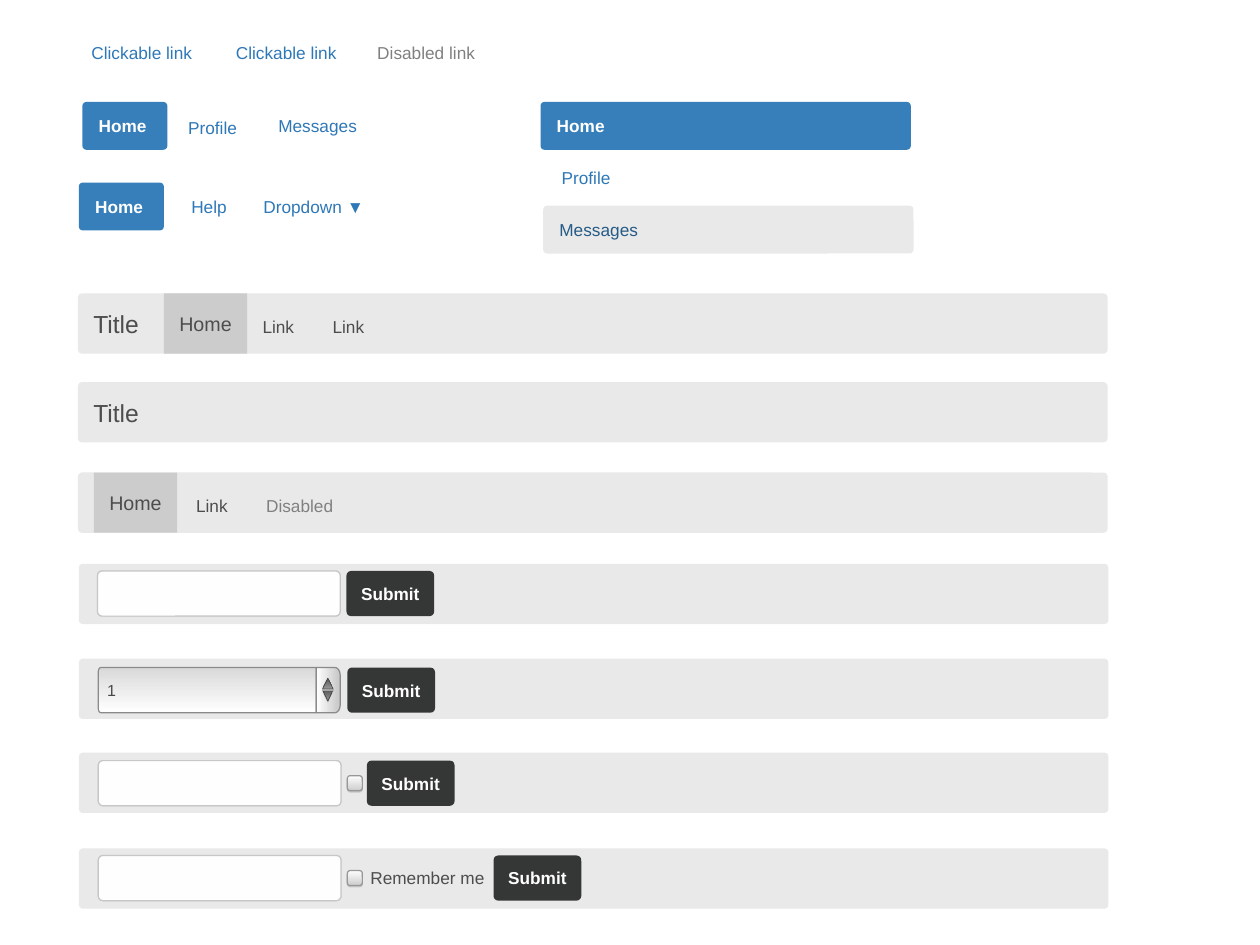
from math import cos, pi, sin

from lxml.etree import SubElement
from pptx import Presentation
from pptx.dml.color import RGBColor
from pptx.enum.shapes import MSO_SHAPE
from pptx.enum.text import MSO_ANCHOR, PP_ALIGN
from pptx.oxml.ns import qn
from pptx.util import Inches, Pt

ROUND, RECT = MSO_SHAPE.ROUNDED_RECTANGLE, MSO_SHAPE.RECTANGLE
PEAK = MSO_SHAPE.ISOSCELES_TRIANGLE
MID, LEFT, CENTER = MSO_ANCHOR.MIDDLE, PP_ALIGN.LEFT, PP_ALIGN.CENTER

WIDE, HIGH = 14.22, 10.66
FONT, BLUE, GREY, INK = "Arial", "2E78B8", "808080", "4D4D4D"
LINE_H, BAR_W, BAR_H, FIELD_W, FIELD_H = 0.39, 11.62, 0.68, 2.74, 0.51
PILL_H, PILL_W, LIST_W, TAB_W, SEND_W, BOX = 0.54, 0.96, 4.18, 0.94, 0.99, 0.17

STYLES = {
    "bar": {"form": ROUND, "adj": 0.067, "fill": "E9E9E9", "inset": 0.16},
    "pill": {"form": ROUND, "adj": 0.084, "fill": "367FBA", "inset": 0.17},
    "hover": {"form": ROUND, "adj": 0.084, "fill": "E9E9E9", "inset": 0.17},
    "tab": {"form": RECT, "fill": "CCCCCC", "align": CENTER},
    "send": {"form": ROUND, "adj": 0.103, "fill": "353636", "align": CENTER},
    "field": {"form": ROUND, "adj": 0.103, "fill": "FFFEFE",
              "line": ("C7C7C7", 1), "shadow": ("000000", 10, 0)},
    "check": {"form": ROUND, "adj": 0.2, "fill": ("FFFEFE", "CECDCD", 270),
              "line": ("979797", 1), "shadow": ("000000", 15, 1)},
    "up": {"form": PEAK, "fill": ("545554", "979797", 270),
           "line": ("444444", 0.5), "shadow": ("C8C8C8", 75, 1)},
    "down": {"form": PEAK, "fill": ("979797", "545554", 270),
             "line": ("444444", 0.5), "shadow": ("C8C8C8", 75, 1)},
    "value": {"fill": ("D9D9D9", "FFFFFF", 270), "line": ("8A8A8A", 1),
              "inset": 0.1},
    "knob": {"fill": ("C6C6C6", "FFFFFF", 180), "line": ("8A8A8A", 1)},
}

LINKS = [
    ("Clickable link", 0.94, 0.4, 1.32, BLUE),
    ("Clickable link", 2.57, 0.4, 1.32, BLUE),
    ("Disabled link", 4.15, 0.4, 1.32, GREY),
    ("Profile", 1.92, 1.24, 0.96, BLUE),
    ("Messages", 3.03, 1.22, 1.11, BLUE),
    ("Help", 1.88, 2.14, 0.96, BLUE),
    ("Dropdown ▼", 2.88, 2.13, 1.32, BLUE),
    ("Profile", 6.23, 1.81, 0.77, BLUE),
]
PILLS = [
    ("pill", "Home", 0.93, 1.15, PILL_W, "FFFFFF", True),
    ("pill", "Home", 0.89, 2.06, PILL_W, "FFFFFF", True),
    ("pill", "Home", 6.1, 1.15, LIST_W, "FFFFFF", True),
    ("hover", "Messages", 6.13, 2.32, LIST_W, "255B86", False),
]
BARS = [
    (3.31, 1.85, [("Title\t", 20, INK), ("Link\tLink", 14, INK)], (1.91, 2.7)),
    (4.31, None, [("Title", 20, INK)], ()),
    (5.33, 1.06, [("\t", 20, INK), ("Link\t", 14, INK),
                  ("Disabled", 14, GREY)], (1.16, 1.95)),
]
FORMS = [
    (6.36, 6.44, 1.1, None, 3.91),
    (7.43, 7.53, None, None, 3.92),
    (8.49, 8.58, 1.11, 3.92, 4.14),
    (9.57, 9.65, 1.11, 3.92, 5.57),
]

deck = Presentation()
deck.slide_width, deck.slide_height = Inches(WIDE), Inches(HIGH)
shapes = deck.slides.add_slide(deck.slide_layouts[6]).shapes


def tint(code):
    """Turn a hex string into a colour."""
    return RGBColor.from_string(code)


def write(shape, runs, align=LEFT, inset=0, stops=(), bold=False, wrap=True):
    """Fill a shape with one line of (text, size, colour) runs."""
    frame = shape.text_frame
    format = {"margin_left": Inches(inset), "margin_right": 0, "margin_top": 0,
              "margin_bottom": 0, "vertical_anchor": MID, "word_wrap": wrap}
    for key, val in format.items():
        setattr(frame, key, val)
    para = frame.paragraphs[0]
    para.alignment = align
    if stops:
        tabs = SubElement(para._p.get_or_add_pPr(), qn("a:tabLst"))
        for stop in stops:
            SubElement(tabs, qn("a:tab"), pos=str(Inches(stop)), algn="l")
    for text, size, color in runs:
        run = para.add_run()
        run.text = text
        for key, val in {"name": FONT, "size": Pt(size), "bold": bold}.items():
            setattr(run.font, key, val)
        run.font.color.rgb = tint(color)


def paint(shape, style):
    """Apply fill, line and shadow of a style."""
    shape.shadow.inherit = False
    fill = style["fill"]
    if isinstance(fill, str):
        shape.fill.solid()
        shape.fill.fore_color.rgb = tint(fill)
    else:
        shape.fill.gradient()
        shape.fill.gradient_angle = fill[2]
        for stop, color in zip(shape.fill.gradient_stops, fill):
            stop.color.rgb = tint(color)
    if "line" in style:
        color, width = style["line"]
        shape.line.color.rgb = tint(color)
        shape.line.width = Pt(width)
    else:
        shape.line.fill.background()
    if "shadow" in style:
        color, share, dist = style["shadow"]
        effects = shape.element.spPr.find(qn("a:effectLst"))
        outer = SubElement(effects, qn("a:outerShdw"), blurRad="0",
                           dist=str(Pt(dist)), dir="5400000", rotWithShape="0")
        hue = SubElement(outer, qn("a:srgbClr"), val=color)
        SubElement(hue, qn("a:alpha"), val=str(share * 1000))


def draw(kind, x, y, w, h, runs=(), **more):
    """Add a styled preset shape with its text."""
    style = STYLES[kind]
    shape = shapes.add_shape(style["form"], *map(Inches, (x, y, w, h)))
    if "adj" in style:
        shape.adjustments[0] = style["adj"]
    paint(shape, style)
    if runs:
        write(shape, runs, style.get("align", LEFT), style.get("inset", 0), **more)
    return shape


def label(text, x, y, w, h, color, **more):
    """Add a plain text box."""
    box = shapes.add_textbox(*map(Inches, (x, y, w, h)))
    write(box, [(text, 14, color)], **more)


def panel(kind, flat, edge, y, rx, ry):
    """Add half of the select box, rounded at its outer edge."""
    side, low = (1 if edge > flat else -1), y + FIELD_H
    turns = [step * pi / 12 for step in range(7)]
    dots = [(edge - side * rx * (1 - sin(t)), y + ry * (1 - cos(t))) for t in turns]
    dots += [(edge - side * rx * (1 - cos(t)), low - ry * (1 - sin(t))) for t in turns]
    dots.append((flat, low))
    pen = shapes.build_freeform(Inches(flat), Inches(y))
    pen.add_line_segments([(Inches(a), Inches(b)) for a, b in dots], close=True)
    shape = pen.convert_to_shape()
    paint(shape, STYLES[kind])
    return shape


def select(y):
    """Add the select box with its two arrows."""
    value = panel("value", 3.57, 1.11, y, 0.03, 0.05)
    write(value, [("1", 13, "484A4A")], inset=STYLES["value"]["inset"])
    knob = panel("knob", 3.57, 3.84, y, 0.06, 0.09)
    down = draw("down", 3.64, y + 0.25, 0.12, 0.13)
    down.rotation = 180
    up = draw("up", 3.64, y + 0.12, 0.12, 0.12)
    shapes.add_group_shape([value, knob, down, up])


def main():
    """Build the slide and save it."""
    for text, x, y, w, color in LINKS:
        label(text, x, y, w, LINE_H, color, align=CENTER)
    for kind, text, x, y, w, color, bold in PILLS:
        draw(kind, x, y, w, PILL_H, [(text, 14, color)], bold=bold)
    for y, tab, runs, stops in BARS:
        draw("bar", 0.88, y, BAR_W, BAR_H, runs, stops=stops)
        if tab:
            draw("tab", tab, y, TAB_W, BAR_H, [("Home", 16, INK)])
    for y, top, field, check, send in FORMS:
        draw("bar", 0.89, y, BAR_W, BAR_H)
        if field:
            draw("field", field, top, FIELD_W, FIELD_H)
        else:
            select(top)
        if check:
            draw("check", check, top + (FIELD_H - BOX) / 2, BOX, BOX)
        draw("send", send, top, SEND_W, FIELD_H, [("Submit", 14, "FFFFFF")], bold=True)
    label("Remember me", 4.18, 9.79, 1.36, 0.23, INK, wrap=False)
    deck.save("out.pptx")


if __name__ == "__main__":
    main()
